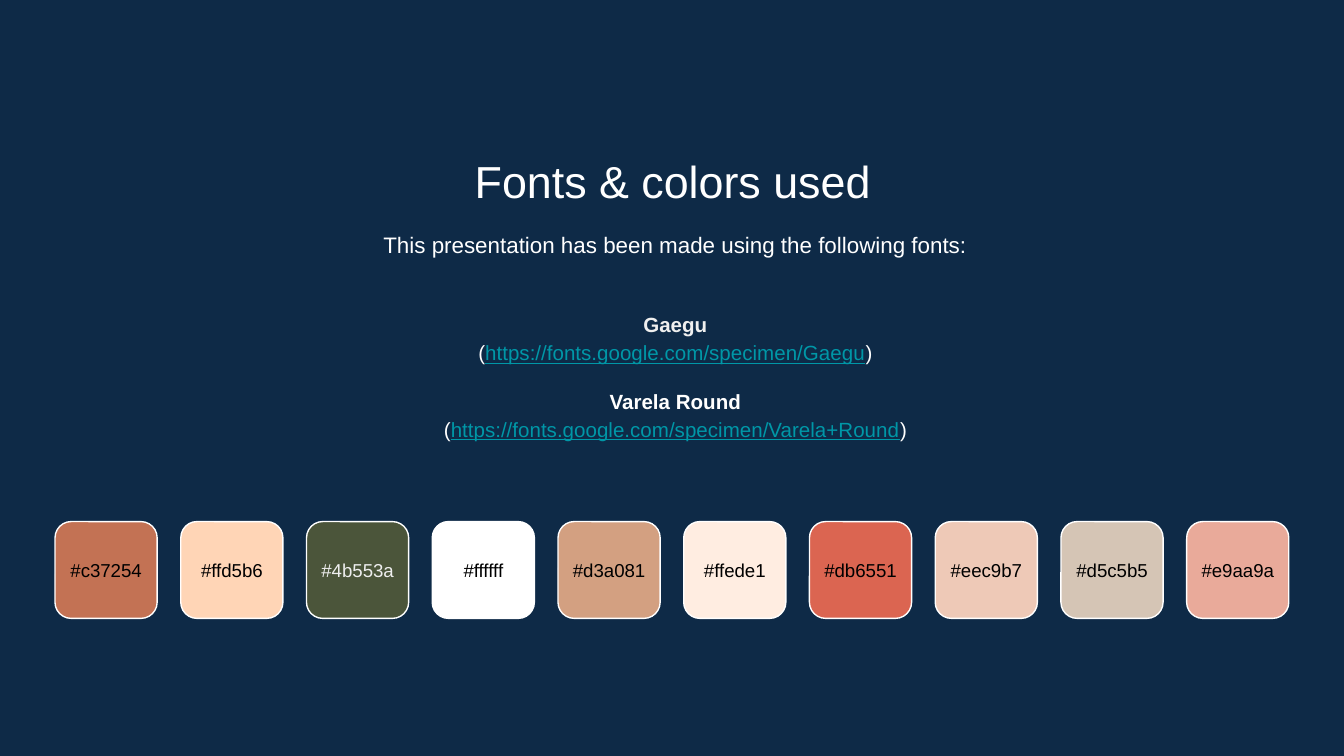
from dataclasses import dataclass

from pptx import Presentation
from pptx.dml.color import RGBColor
from pptx.enum.shapes import MSO_SHAPE
from pptx.enum.text import MSO_ANCHOR, PP_ALIGN
from pptx.util import Inches, Pt


@dataclass(frozen=True)
class Theme:
    font: str = "Arial"
    background: str = "0E2A47"
    text: str = "FFFFFF"
    soft: str = "EFEFEF"
    link: str = "0097A7"
    dark_label: str = "000000"
    light_label: str = "EEEEEE"
    title_size: float = 24
    intro_size: float = 12
    body_size: float = 11
    label_size: float = 10
    outline: float = 0.75
    line_spacing: float = 1.15
    entry_gap: float = 10.6


def apply_format(target, values):
    for attribute, value in values.items():
        setattr(target, attribute, value)


class SlideBuilder:
    def __init__(self, presentation, theme):
        self.theme = theme
        self.column = presentation.slide_width / 100
        self.row = presentation.slide_height / 100
        self.slide = presentation.slides.add_slide(presentation.slide_layouts[6])
        fill = self.slide.background.fill
        fill.solid()
        fill.fore_color.rgb = RGBColor.from_string(theme.background)

    def place(self, column, row, columns, rows):
        return (round(column * self.column), round(row * self.row),
                round(columns * self.column), round(rows * self.row))

    def text(self, area, paragraphs, size, anchor=MSO_ANCHOR.TOP, spacing=1.0):
        frame = self.slide.shapes.add_textbox(*self.place(*area)).text_frame
        inset = Inches(0.1)
        apply_format(frame, {
            "word_wrap": True, "vertical_anchor": anchor,
            "margin_left": inset, "margin_right": inset,
            "margin_top": inset, "margin_bottom": inset,
        })
        for index, (gap, runs) in enumerate(paragraphs):
            paragraph = frame.add_paragraph() if index else frame.paragraphs[0]
            apply_format(paragraph, {
                "alignment": PP_ALIGN.CENTER, "line_spacing": spacing,
                "space_before": Pt(gap),
            })
            for wording, color, style in runs:
                run = paragraph.add_run()
                run.text = wording
                apply_format(run.font, {
                    "name": self.theme.font, "size": Pt(size), **style,
                })
                run.font.color.rgb = RGBColor.from_string(color)

    def swatch(self, area, color):
        tile = self.slide.shapes.add_shape(
            MSO_SHAPE.ROUNDED_RECTANGLE, *self.place(*area))
        tile.shadow.inherit = False
        tile.fill.solid()
        tile.fill.fore_color.rgb = RGBColor.from_string(color)
        tile.line.color.rgb = RGBColor.from_string(self.theme.text)
        tile.line.width = Pt(self.theme.outline)


def font_entry(name, url, color, gap, theme):
    return [
        (gap, [(name, color, {"bold": True})]),
        (0, [("(", theme.text, {}),
             (url, theme.link, {"underline": True}),
             (")", theme.text, {})]),
    ]


def main():
    theme = Theme()
    presentation = Presentation()
    presentation.slide_width = Inches(10)
    presentation.slide_height = presentation.slide_width * 9 // 16
    builder = SlideBuilder(presentation, theme)

    builder.text((11.5, 18.5, 77.1, 9.4),
                 [(0, [("Fonts & colors used", theme.text, {})])],
                 theme.title_size)
    intro = "This presentation has been made using the following fonts:"
    builder.text((11.7, 28.3, 77.1, 8.5), [(0, [(intro, theme.text, {})])],
                 theme.intro_size, spacing=theme.line_spacing)
    entries = (
        font_entry("Gaegu", "https://fonts.google.com/specimen/Gaegu",
                   theme.soft, 0, theme)
        + font_entry("Varela Round",
                     "https://fonts.google.com/specimen/Varela+Round",
                     theme.text, theme.entry_gap, theme)
    )
    builder.text((11.7, 37.4, 77.1, 24.4), entries, theme.body_size,
                 MSO_ANCHOR.MIDDLE, theme.line_spacing)

    palette = ["c37254", "ffd5b6", "4b553a", "ffffff", "d3a081",
               "ffede1", "db6551", "eec9b7", "d5c5b5", "e9aa9a"]
    first, last, width = 4.1, 88.3, 7.6
    pitch = (last - first) / (len(palette) - 1)
    for index, color in enumerate(palette):
        left = first + index * pitch
        label_color = theme.light_label if color == "4b553a" else theme.dark_label
        builder.swatch((left, 69, width, 12.8), color.upper())
        builder.text((left, 71.65, width, 7.5),
                     [(0, [("#" + color, label_color, {})])],
                     theme.label_size, MSO_ANCHOR.MIDDLE)

    presentation.save("out.pptx")


if __name__ == "__main__":
    main()
